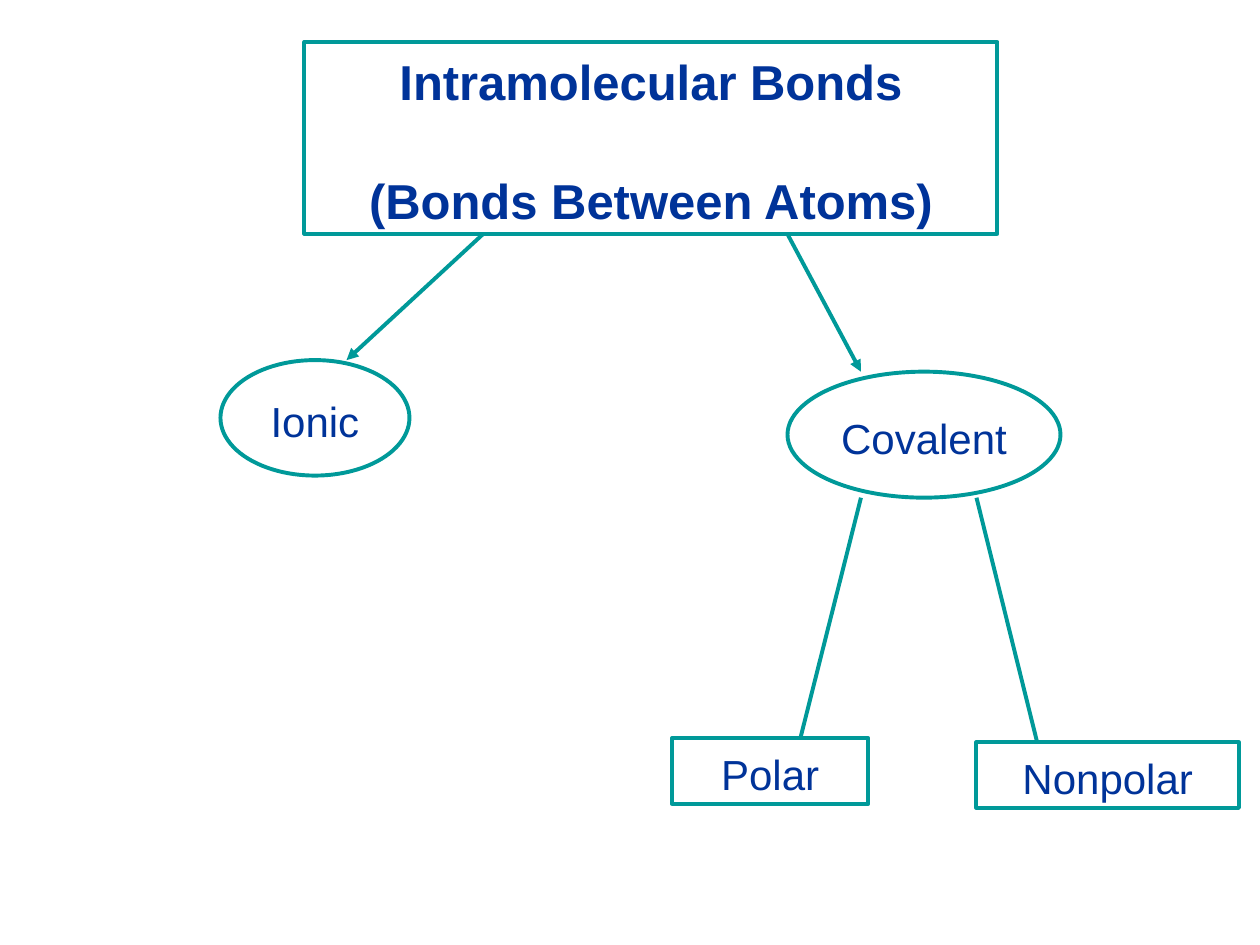
from lxml import etree
from pptx import Presentation
from pptx import util as u
from pptx.dml.color import RGBColor
from pptx.enum import shapes, text
from pptx.oxml.ns import qn

INK = {"text": "003399", "line": "009999", "fill": "FFFFFF"}
WIDE, HIGH = u.Inches(10), u.Inches(7.5)
COLS, ROWS = 120, 90
RECT, OVAL = shapes.MSO_SHAPE.RECTANGLE, shapes.MSO_SHAPE.OVAL


def tint(name):
    """Return the named colour."""
    return RGBColor.from_string(INK[name])


def grid(col, row):
    """Turn grid columns and rows into slide lengths."""
    return round(WIDE * col / COLS), round(HIGH * row / ROWS)


def stroke(item):
    """Give an element the common outline."""
    item.line.color.rgb = tint("line")
    item.line.width = u.Pt(2.25)


def node(slide, kind, spot, size, words, points=24, bold=False, gap=0):
    """Add an outlined shape with centred paragraphs."""
    box = slide.shapes.add_shape(kind, *grid(*spot), *grid(*size))
    box.shadow.inherit = False
    box.fill.solid()
    box.fill.fore_color.rgb = tint("fill")
    stroke(box)
    frame = box.text_frame
    frame.word_wrap = True
    frame.vertical_anchor = text.MSO_ANCHOR.MIDDLE
    frame.margin_top, frame.margin_bottom = u.Inches(0.09), u.Inches(0.05)
    for rank, line in enumerate(words):
        para = frame.add_paragraph() if rank else frame.paragraphs[0]
        para.alignment = text.PP_ALIGN.CENTER
        para.space_before = u.Pt(gap if rank else 0)
        run = para.add_run()
        run.text = line
        run.font.name, run.font.size, run.font.bold = "Arial", u.Pt(points), bold
        run.font.color.rgb = tint("text")


def arrow(slide, start, end):
    """Add a straight arrow between two grid points."""
    link = slide.shapes.add_connector(
        shapes.MSO_CONNECTOR.STRAIGHT, *grid(*start), *grid(*end))
    stroke(link)
    etree.SubElement(link.line._get_or_add_ln(), qn("a:tailEnd"), type="triangle")
    etree.SubElement(link._element.spPr, qn("a:effectLst"))


def main():
    """Build the bond tree and save it."""
    deck = Presentation()
    deck.slide_width, deck.slide_height = WIDE, HIGH
    slide = deck.slides.add_slide(deck.slide_layouts[6])
    for start, end in (
        ((46, 22.3), (33, 34.3)),
        ((75, 22.3), (82, 35.4)),
        ((82, 47.4), (75.7, 72.4)),
        ((93, 47.4), (99.2, 72.4)),
    ):
        arrow(slide, start, end)
    node(slide, RECT, (29, 4), (66, 18.25),
         ("Intramolecular Bonds", "(Bonds Between Atoms)"), 28, True, 34.6)
    for kind, spot, size, word in (
        (OVAL, (75, 35.4), (26, 12), "Covalent"),
        (OVAL, (21, 34.3), (18, 11), "Ionic"),
        (RECT, (64, 70.3), (18.7, 6.25), "Polar"),
        (RECT, (93, 70.7), (25, 6.25), "Nonpolar"),
    ):
        node(slide, kind, spot, size, (word,))
    deck.save("out.pptx")


if __name__ == "__main__":
    main()
